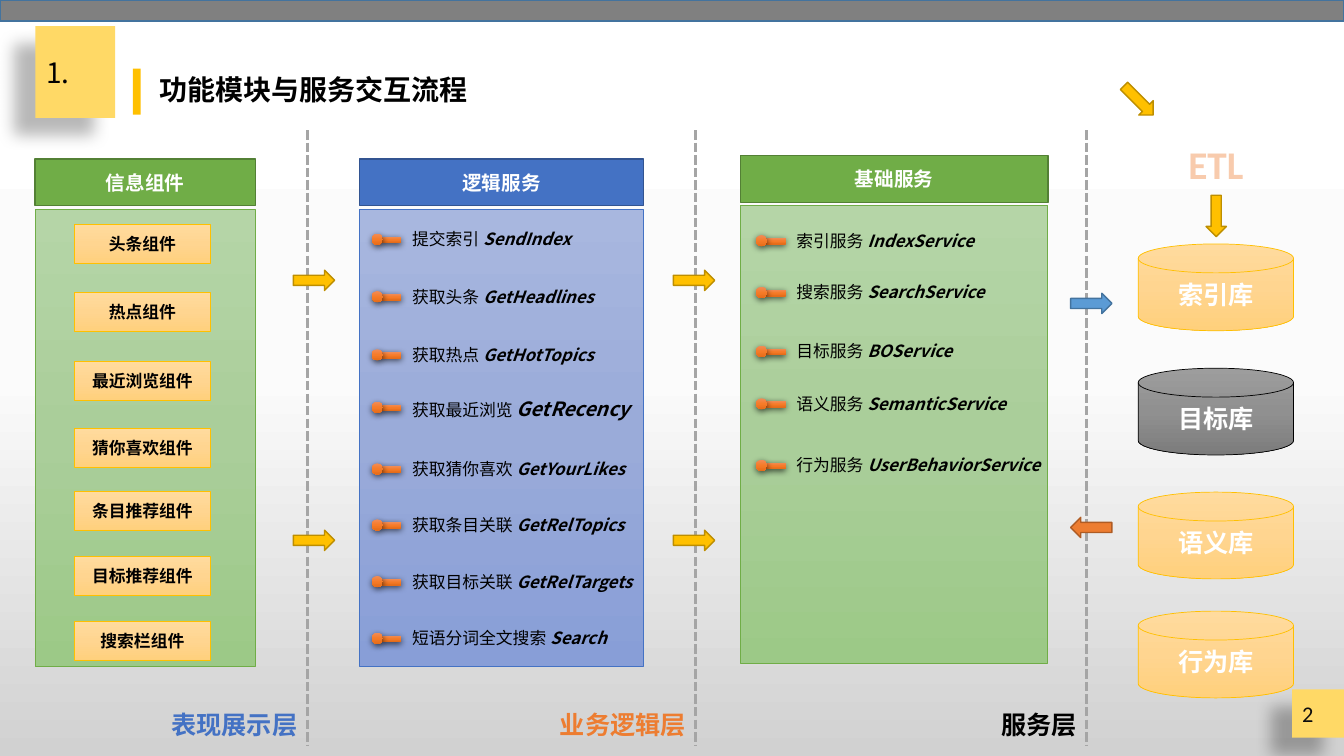
from lxml import etree
from pptx import Presentation
from pptx.dml.color import RGBColor
from pptx.enum.dml import MSO_LINE
from pptx.enum.shapes import MSO_CONNECTOR, MSO_SHAPE
from pptx.enum.text import MSO_ANCHOR, PP_ALIGN
from pptx.oxml.ns import qn
from pptx.util import Pt

RECT, OVAL = MSO_SHAPE.RECTANGLE, MSO_SHAPE.OVAL
ARROW, DISK = MSO_SHAPE.RIGHT_ARROW, MSO_SHAPE.FLOWCHART_MAGNETIC_DISK
LEFT, CENTER, RIGHT = PP_ALIGN.LEFT, PP_ALIGN.CENTER, PP_ALIGN.RIGHT
MIDDLE, TOP = MSO_ANCHOR.MIDDLE, MSO_ANCHOR.TOP
STRAIGHT, DASH = MSO_CONNECTOR.STRAIGHT, MSO_LINE.SQUARE_DOT
CJK = "Noto Sans CJK SC"

C = {
    "black": "000000", "white": "FFFFFF", "ink": "0D0D0D", "bar": "808080",
    "steel": "43739E", "sky": "5B9BD5", "tag": "FFD966", "gold": "FFC000",
    "gold_edge": "BD8E00", "orange": "ED7D31", "orange_edge": "AF5C24",
    "green": "70AD47", "green_edge": "538035", "blue": "4472C4",
    "blue_edge": "325491", "dash": "A5A5A5", "peach": "F8CBAD",
}
GRADIENTS = {
    "page": ("FFFFFF", "FBFBFB", "D1D1D1"),
    "green": ("B5D5A7", "AACE9A", "9CC987"),
    "blue": ("A8B7DF", "9AABD9", "889ED7"),
    "orange": ("F18C57", "F67B28", "E56C19"),
    "gold": ("FFDB9E", "FFD590", "FFD07C"),
    "gray": ("9D9D9D", "909090", "7C7C7C"),
}
TAG_SHADOW = (28, 11.8, 19.7, 141)
PIN_SHADOW = (63, 4.5, 1.5, 90)

COMPONENTS = [("头条组件", 160.5), ("热点组件", 209), ("最近浏览组件", 258),
              ("猜你喜欢组件", 306), ("条目推荐组件", 351),
              ("目标推荐组件", 397.5), ("搜索栏组件", 444)]
# label, method, top, width, method size
LOGIC = [("提交索引", "SendIndex", 160, 132, 12),
         ("获取头条", "GetHeadlines", 201, 149, 12),
         ("获取热点", "GetHotTopics", 242.5, 149, 12),
         ("获取最近浏览", "GetRecency", 280, 176, 14),
         ("获取猜你喜欢", "GetYourLikes", 324, 172, 12),
         ("获取条目关联", "GetRelTopics", 364, 171, 12),
         ("获取目标关联", "GetRelTargets", 404.5, 177, 12),
         ("短语分词全文搜索", "Search", 445, 155, 12)]
BASE = [("索引服务", "IndexService", 161, 145, 12),
        ("搜索服务", "SearchService", 198, 150, 12),
        ("目标服务", "BOService", 240, 129, 12),
        ("语义服务", "SemanticService", 277.5, 166, 12),
        ("行为服务", "UserBehaviorService", 321.5, 194, 12)]
STORES = [("索引库", 174.25, "gold", "gold"), ("目标库", 263, "gray", "black"),
          ("语义库", 351.5, "gold", "gold"), ("行为库", 436.5, "gold", "gold")]
LAYERS = [("表现展示层", 219.5, "blue"), ("业务逻辑层", 497, "orange"),
          ("服务层", 776.25, "black")]


def rgb(name):
    return RGBColor.from_string(C[name])


def fill_gradient(fill, element, name):
    """Fill top to bottom with three evenly spaced stops."""
    fill.gradient()
    fill.gradient_angle = 270
    stops = element.find(".//" + qn("a:gsLst"))
    for gs in list(stops):
        stops.remove(gs)
    for i, color in enumerate(GRADIENTS[name]):
        gs = etree.SubElement(stops, qn("a:gs"), pos=str(i * 50000))
        etree.SubElement(gs, qn("a:srgbClr"), val=color)


def add_shadow(sp, alpha, blur, dist, angle):
    effects = sp._element.spPr.find(qn("a:effectLst"))
    outer = etree.SubElement(effects, qn("a:outerShdw"), blurRad=str(Pt(blur)),
                             dist=str(Pt(dist)), dir=str(angle * 60000),
                             algn="ctr", rotWithShape="0")
    color = etree.SubElement(outer, qn("a:srgbClr"), val=C["black"])
    etree.SubElement(color, qn("a:alpha"), val=str(alpha * 1000))


def shape(slide, kind, box, fill=None, gradient=None, line=None, width=1, shadow=None):
    sp = slide.shapes.add_shape(kind, *map(Pt, box))
    sp.shadow.inherit = False
    if gradient:
        fill_gradient(sp.fill, sp._element.spPr, gradient)
    else:
        sp.fill.solid()
        sp.fill.fore_color.rgb = rgb(fill)
    if line:
        sp.line.color.rgb = rgb(line)
        sp.line.width = Pt(width)
    else:
        sp.line.fill.background()
    if shadow:
        add_shadow(sp, *shadow)
    return sp


def style(r, size, color="black", bold=False, italic=False, font=CJK):
    f = r.font
    f.size, f.bold, f.italic, f.name = Pt(size), bold, italic, font
    f.color.rgb = rgb(color)
    etree.SubElement(r._r.get_or_add_rPr(), qn("a:ea"), typeface=font)


def write(sp, text, size, color="black", bold=True, align=CENTER, anchor=MIDDLE, font=CJK):
    tf = sp.text_frame
    tf.word_wrap = True
    tf.vertical_anchor = anchor
    p = tf.paragraphs[0]
    p.text = text
    p.alignment = align
    style(p.runs[0], size, color, bold, font=font)
    return p


def label(slide, box, text, size, color="black", bold=True, align=LEFT, font=CJK):
    sp = slide.shapes.add_textbox(*map(Pt, box))
    return write(sp, text, size, color, bold, align, TOP, font)


def arrow(slide, x, y, color="gold", edge="gold_edge", rotation=0):
    shape(slide, ARROW, (x, y, 29.5, 14.5), color, line=edge).rotation = rotation


def header(slide):
    shape(slide, RECT, (0, 0, 960, 15), "bar", line="steel")
    shape(slide, RECT, (25.25, 18.75, 57, 65.5), "tag", shadow=TAG_SHADOW)
    shape(slide, RECT, (95, 49, 5.5, 33), "gold")
    for box, text, bold in (((26, 39, 55.5, 30), "1.", False),
                            ((106.5, 51, 289.5, 29.5), "功能模块与服务交互流程", True)):
        p = label(slide, box, text, 20, bold=bold)
        p.line_spacing = 0.9
        p.space_before = Pt(10)


def page_number(slide, x, y):
    shape(slide, RECT, (x, y, 37, 34.5), "tag", shadow=TAG_SHADOW)
    label(slide, (x, y + 4.25, 37, 26.5), "2", 16, "ink", False, font="Calibri")


def layer(slide, name, x, color):
    """Dashed boundary at x with the layer's name to the left of its foot."""
    cx = slide.shapes.add_connector(STRAIGHT, Pt(x), Pt(93), Pt(x), Pt(532.5))
    cx.line.color.rgb = rgb("dash")
    cx.line.width = Pt(2.25)
    cx.line.dash_style = DASH
    etree.SubElement(cx._element.spPr, qn("a:effectLst"))
    label(slide, (x - 138, 503, 138, 29), name, 18, color, align=RIGHT)


def panel(slide, x, y, w, title, color):
    head = shape(slide, RECT, (x, y, w, 33.5), color, line=color + "_edge")
    write(head, title, 14, "white")
    shape(slide, RECT, (x, y + 35.75, w, 327), gradient=color, line=color, width=0.5)


def service(slide, x, y, text, method, w, size):
    """Pin-shaped bullet at x followed by a label and its method name."""
    p = label(slide, (x + 21.75, y, w, 22), text + " ", 12, bold=False)
    r = p.add_run()
    r.text = method
    style(r, size, bold=True, italic=True)
    for kind, box in ((RECT, (x + 6.75, y + 9, 14.5, 4.5)),
                      (OVAL, (x, y + 7, 8, 8))):
        shape(slide, kind, box, gradient="orange", shadow=PIN_SHADOW)


def component(slide, x, y, text):
    sp = shape(slide, RECT, (x, y, 97.5, 28), gradient="gold", line="gold", width=0.5)
    write(sp, text, 12)


def stores(slide, x):
    p = label(slide, (x + 28.75, 97, 54, 41), "ETL", 28, "peach", font="Calibri")
    ln = etree.Element(qn("a:ln"), w=str(Pt(1.75)))
    fill = etree.SubElement(ln, qn("a:solidFill"))
    etree.SubElement(fill, qn("a:srgbClr"), val=C["orange"])
    p.runs[0].font._element.insert(0, ln)
    for text, y, gradient, line in STORES:
        sp = shape(slide, DISK, (x, y, 111, 62), gradient=gradient, line=line, width=0.5)
        write(sp, text, 18, "white")


def arrows(slide):
    for x in (209.5, 481):
        for y in (193, 378.75):
            arrow(slide, x, y)
    arrow(slide, 798.5, 64.5, rotation=45)
    arrow(slide, 854, 147, rotation=90)
    arrow(slide, 764.75, 209.5, "sky", "steel")
    arrow(slide, 764.75, 369.5, "orange", "orange_edge", 180)


def main():
    prs = Presentation()
    prs.slide_width, prs.slide_height = Pt(960), Pt(540)
    slide = prs.slides.add_slide(prs.slide_layouts[6])
    fill_gradient(slide.background.fill, slide._element, "page")
    header(slide)
    for row in LAYERS:
        layer(slide, *row)
    panel(slide, 25, 113.5, 157.5, "信息组件", "green")
    panel(slide, 257, 113.5, 202.5, "逻辑服务", "blue")
    panel(slide, 529, 111, 219.5, "基础服务", "green")
    for text, y in COMPONENTS:
        component(slide, 53, y, text)
    for x, rows in ((265.5, LOGIC), (540, BASE)):
        for text, method, y, w, size in rows:
            service(slide, x, y, text, method, w, size)
    stores(slide, 813)
    arrows(slide)
    page_number(slide, 923, 492.5)
    prs.save("out.pptx")


if __name__ == "__main__":
    main()
